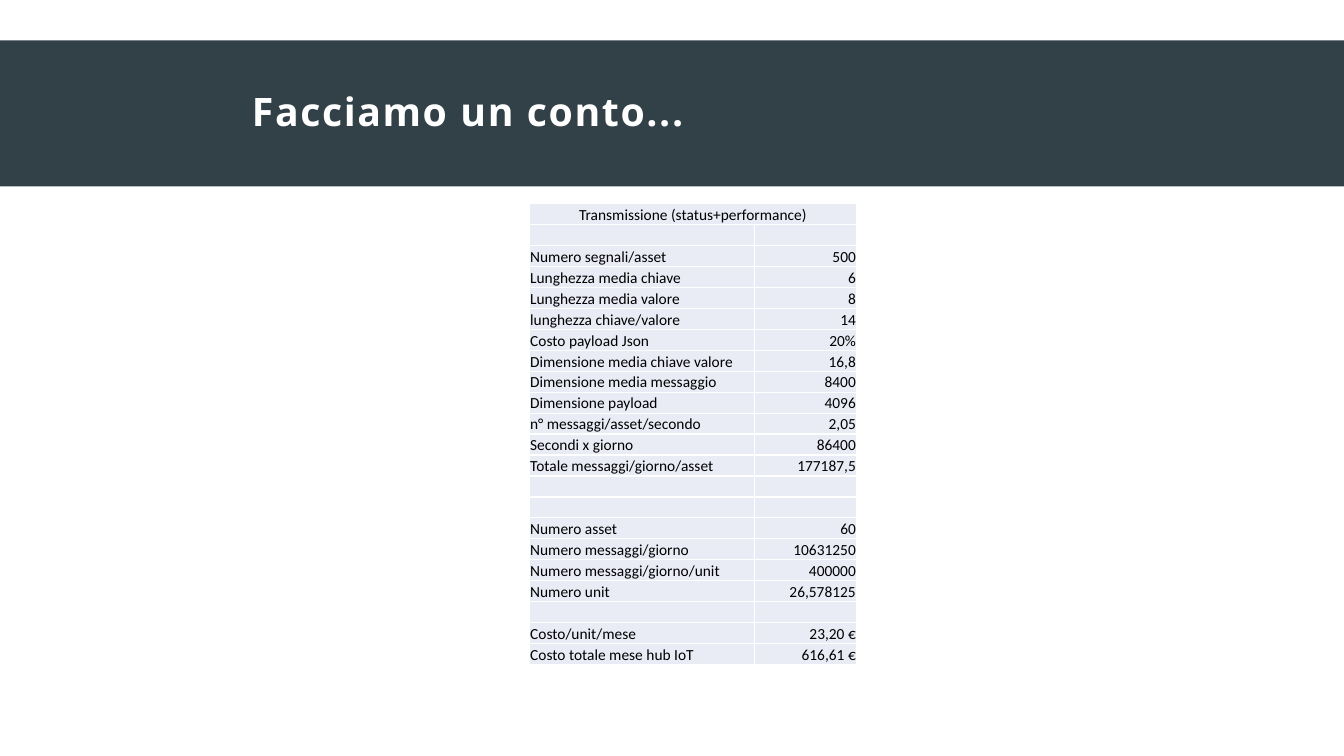
from lxml.etree import SubElement
from pptx import Presentation
from pptx.dml.color import RGBColor
from pptx.enum.shapes import MSO_SHAPE
from pptx.enum.text import MSO_ANCHOR, PP_ALIGN
from pptx.oxml.ns import qn
from pptx.util import Cm, Pt

SLATE = RGBColor(0x32, 0x41, 0x47)
WHITE = RGBColor(0xFF, 0xFF, 0xFF)
BLACK = RGBColor(0x00, 0x00, 0x00)
PALE_BLUE = RGBColor(0xE9, 0xEB, 0xF5)

EMPTY = ("", "")
ROWS = [
    ("Transmissione (status+performance)", ""),
    EMPTY,
    ("Numero segnali/asset", "500"),
    ("Lunghezza media chiave", "6"),
    ("Lunghezza media valore", "8"),
    ("lunghezza chiave/valore", "14"),
    ("Costo payload Json", "20%"),
    ("Dimensione media chiave valore", "16,8"),
    ("Dimensione media messaggio", "8400"),
    ("Dimensione payload", "4096"),
    ("n° messaggi/asset/secondo", "2,05"),
    ("Secondi x giorno", "86400"),
    ("Totale messaggi/giorno/asset", "177187,5"),
    EMPTY,
    EMPTY,
    ("Numero asset", "60"),
    ("Numero messaggi/giorno", "10631250"),
    ("Numero messaggi/giorno/unit", "400000"),
    ("Numero unit", "26,578125"),
    EMPTY,
    ("Costo/unit/mese", "23,20 €"),
    ("Costo totale mese hub IoT", "616,61 €"),
]


def set_font(p, name, size, color, bold=False):
    p.font.name = name
    p.font.size = Pt(size)
    p.font.color.rgb = color
    p.font.bold = bold


def add_title_band(s, text, x, y, w, h):
    # Band
    band = s.shapes.add_shape(MSO_SHAPE.RECTANGLE, x, y, w, h)
    band.shadow.inherit = False
    band.fill.solid()
    band.fill.fore_color.rgb = SLATE
    band.line.fill.background()

    # Title
    indent = Cm(6.1)
    tf = s.shapes.add_textbox(x + indent, y, w - indent - Cm(2.31), h).text_frame
    tf.word_wrap = True
    tf.vertical_anchor = MSO_ANCHOR.MIDDLE
    p = tf.paragraphs[0]
    r = p.add_run()
    r.text = text
    r._r.get_or_add_rPr().set("spc", "120")
    p.line_spacing = 0.9
    set_font(p, "Open Sans", 28, WHITE, bold=True)


def add_borders(cell):
    tc_pr = cell._tc.get_or_add_tcPr()
    for side in ("lnL", "lnR", "lnT", "lnB"):
        ln = SubElement(tc_pr, qn(f"a:{side}"), w=str(Pt(1)))
        fill = SubElement(ln, qn("a:solidFill"))
        SubElement(fill, qn("a:srgbClr"), val=str(WHITE))


def fill_cell(cell, text, align):
    add_borders(cell)
    cell.fill.solid()
    cell.fill.fore_color.rgb = PALE_BLUE
    cell.vertical_anchor = MSO_ANCHOR.BOTTOM
    cell.margin_left = cell.margin_right = cell.margin_top = Cm(0.02)
    cell.margin_bottom = 0
    p = cell.text_frame.paragraphs[0]
    p.alignment = align
    set_font(p, "Calibri", 11, BLACK)
    if text:
        p.add_run().text = text
    else:
        # Keeps an empty row as low as the others
        SubElement(p._p, qn("a:endParaRPr"), sz="1100")


def add_cost_table(s, rows, x, y, w, h):
    table = s.shapes.add_table(len(rows), 2, x, y, w, h).table
    table.first_row = False
    table.horz_banding = False
    table.columns[0].width = Cm(5.68)
    table.columns[1].width = w - Cm(5.68)
    for i, row in enumerate(rows):
        table.rows[i].height = h // len(rows)
        for j, align in enumerate((PP_ALIGN.LEFT, PP_ALIGN.RIGHT)):
            fill_cell(table.cell(i, j), row[j], align)

    # Heading across both columns
    heading = table.cell(0, 0)
    heading.merge(table.cell(0, 1))
    heading.text_frame.paragraphs[0].alignment = PP_ALIGN.CENTER


def main():
    prs = Presentation()
    prs.slide_width = Cm(33.87)
    prs.slide_height = Cm(19.05)
    s = prs.slides.add_slide(prs.slide_layouts[6])
    add_title_band(s, "Facciamo un conto...", 0, Cm(1.02), prs.slide_width, Cm(3.68))
    add_cost_table(s, ROWS, Cm(13.34), Cm(5.13), Cm(8.25), Cm(11.62))
    prs.save("out.pptx")


if __name__ == "__main__":
    main()
